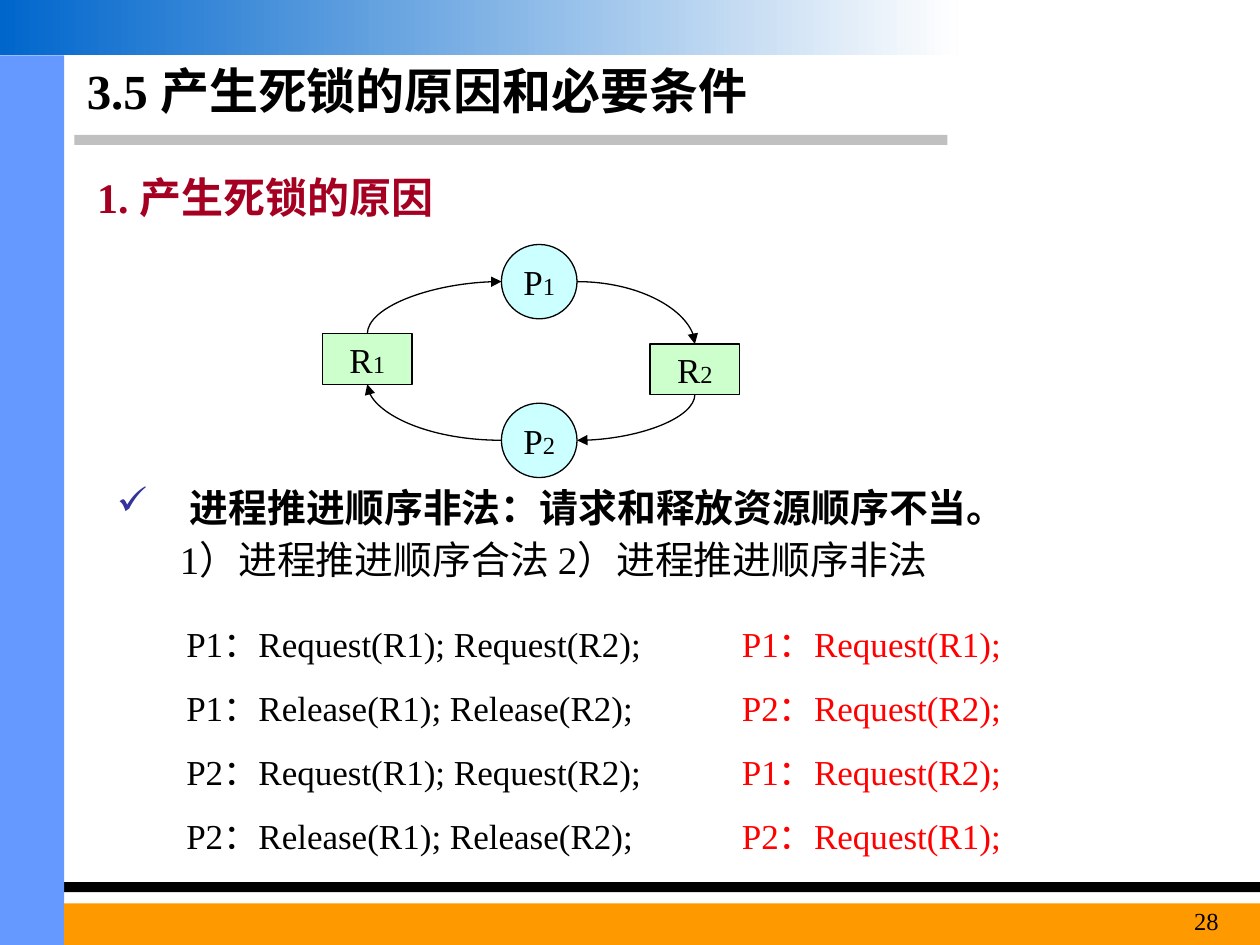
from pptx import Presentation
from pptx.dml.color import RGBColor
from pptx.enum import shapes, text
from pptx.oxml import parse_xml
from pptx.oxml.ns import nsdecls
from pptx.util import Inches, Pt

FONT = "Times New Roman"
BLACK = "000000"
RECT = shapes.MSO_SHAPE.RECTANGLE
OVAL = shapes.MSO_SHAPE.OVAL
LEFT, MID, RIGHT = text.PP_ALIGN.LEFT, text.PP_ALIGN.CENTER, text.PP_ALIGN.RIGHT

BARS = [
    ((0.59, 1.07, 6.93, 0.08), "C0C0C0"),
    ((0, 7, 10, 0.08), BLACK),
    ((0, 0.44, 0.51, 7.06), "6699FF"),
    ((0.51, 7.17, 9.49, 0.33), "FF9900"),
]
FADE = ((0, 0, 7.6, 0.44), ("0066CC", "FEFEFE"))
TITLE = "3.5 产生死锁的原因和必要条件"
HEAD = " 1. 产生死锁的原因"
POINT = "进程推进顺序非法：请求和释放资源顺序不当。"
CASES = "1）进程推进顺序合法\t2）进程推进顺序非法"
LEGAL = [
    "P1：Request(R1); Request(R2);",
    "P1：Release(R1); Release(R2);",
    "P2：Request(R1); Request(R2);",
    "P2：Release(R1); Release(R2);",
]
BAD = [
    "P1：Request(R1);",
    "P2：Request(R2);",
    "P1：Request(R2);",
    "P2：Request(R1);",
]
STEPS = [(1.38, 4.25, LEGAL, BLACK), (5.79, 3.23, BAD, "FF0000")]
NODES = {
    "P1": (OVAL, (3.98, 1.94, 0.6, 0.59), "CCFFFF"),
    "P2": (OVAL, (3.98, 3.2, 0.6, 0.59), "CCFFFF"),
    "R1": (RECT, (2.56, 2.65, 0.71, 0.4), "CCFFCC"),
    "R2": (RECT, (5.16, 2.73, 0.71, 0.4), "CCFFCC"),
}
EDGES = [
    ("R1", "top", "P1", "left"),
    ("P1", "right", "R2", "top"),
    ("R2", "low", "P2", "right"),
    ("P2", "left", "R1", "low"),
]
SIDES = {"top": (0.5, 0), "low": (0.5, 1), "left": (0, 0.5), "right": (1, 0.5)}

prs = Presentation()
prs.slide_width, prs.slide_height = Inches(10), Inches(7.5)
slide = prs.slides.add_slide(prs.slide_layouts[6])


def color(code):
    return RGBColor.from_string(code)


def block(kind, box, fill, edge=None):
    shp = slide.shapes.add_shape(kind, *map(Inches, box))
    shp.shadow.inherit = False
    shp.fill.solid()
    shp.fill.fore_color.rgb = color(fill)
    if edge:
        shp.line.color.rgb = color(edge)
        shp.line.width = Pt(0.75)
    else:
        shp.line.fill.background()
    return shp


def put(par, words, size, tint=BLACK, bold=False):
    run = par.add_run()
    run.text = words
    font = run.font
    font.name, font.size, font.bold = FONT, Pt(size), bold
    font.color.rgb = color(tint)


def label(box, lines, size, tint=BLACK, bold=False, gap=0, align=LEFT):
    frame = slide.shapes.add_textbox(*map(Inches, box)).text_frame
    frame.word_wrap = True
    for i, line in enumerate(lines):
        par = frame.add_paragraph() if i else frame.paragraphs[0]
        par.alignment, par.space_before = align, Pt(gap)
        put(par, line, size, tint, bold)
    return frame


def indent(par, left, first, *marks):
    par.line_spacing = 0.9
    props = par._p.get_or_add_pPr()
    props.set("marL", str(Inches(left)))
    props.set("indent", str(Inches(first)))
    for mark in marks:
        props.append(parse_xml(mark))


def port(name, side):
    x, y, w, h = NODES[name][1]
    u, v = SIDES[side]
    return x + u * w, y + v * h


def curve(src, out, dst, into):
    (x1, y1), (x2, y2) = port(src, out), port(dst, into)
    turn = out in ("top", "low")
    if turn:
        cx, cy = (x1 + x2) / 2, (y1 + y2) / 2
        dx, dy = (y2 - y1) / 2, (x1 - x2) / 2
        x1, y1, x2, y2 = cx - dx, cy - dy, cx + dx, cy + dy
    line = slide.shapes.add_connector(
        shapes.MSO_CONNECTOR.CURVE, *map(Inches, (x1, y1, x2, y2)))
    line.line.color.rgb = color(BLACK)
    line.line.width = Pt(0.75)
    props = line._element.spPr
    props.prstGeom.set("prst", "curvedConnector2")
    if turn:
        props.xfrm.set("rot", "5400000")
    props.ln.append(parse_xml(f'<a:tailEnd {nsdecls("a")} type="triangle"/>'))
    props.append(parse_xml(f'<a:effectLst {nsdecls("a")}/>'))


for box, fill in BARS:
    block(RECT, box, fill)

fade = block(RECT, FADE[0], FADE[1][0]).fill
fade.gradient()
fade.gradient_angle = 0
for stop, code, pos in zip(fade.gradient_stops, FADE[1], (0, 1)):
    stop.color.rgb = color(code)
    stop.position = pos

title = label((0.59, 0.44, 6.85, 0.55), [TITLE], 28, bold=True)
title.vertical_anchor = text.MSO_ANCHOR.MIDDLE
label((0.59, 1.31, 9.06, 0.5), [HEAD], 24, "A50021", True, 15)

body = label((0.83, 3.83, 8.9, 0.94), [POINT, CASES], 22.2, gap=6)
point, cases = body.paragraphs
point.runs[0].font.bold = True
ns = nsdecls("a")
indent(point, 0.58, -0.58,
       f'<a:buClr {ns}><a:srgbClr val="333399"/></a:buClr>',
       f'<a:buChar {ns} char="✓"/>')
indent(cases, 0, 0.5,
       f'<a:tabLst {ns}><a:tab pos="{Inches(4.61)}" algn="l"/></a:tabLst>')

for x, w, lines, tint in STEPS:
    label((x, 4.89, w, 1.96), lines, 20, tint, gap=12.5)

for name, (kind, box, fill) in NODES.items():
    frame = block(kind, box, fill, BLACK).text_frame
    frame.word_wrap = False
    frame.vertical_anchor = text.MSO_ANCHOR.MIDDLE
    par = frame.paragraphs[0]
    par.alignment = MID
    put(par, name[0], 20)
    put(par, name[1], 14)

for edge in EDGES:
    curve(*edge)

label((8.86, 7.14, 0.91, 0.36), ["28"], 14, align=RIGHT)
prs.save("out.pptx")
